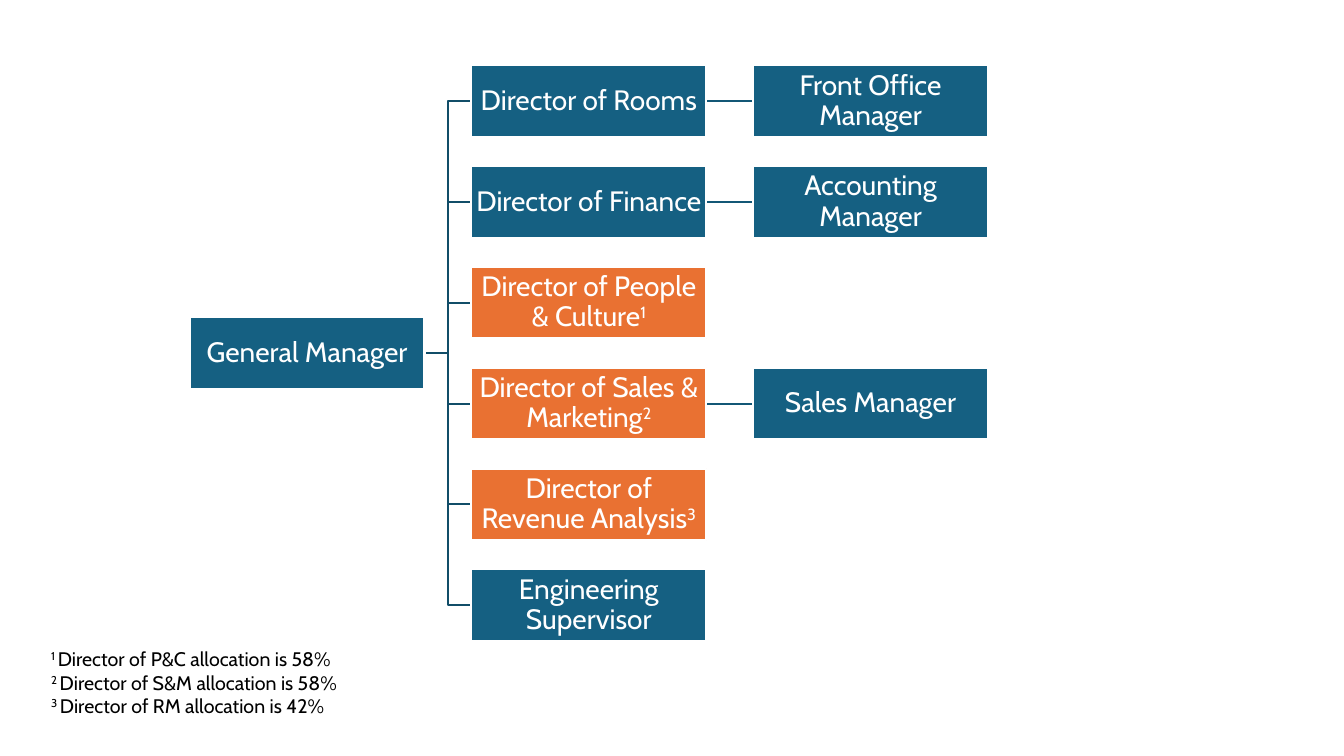
from lxml import etree
from pptx import Presentation
from pptx import util as u
from pptx.dml.color import RGBColor
from pptx.enum import shapes, text
from pptx.oxml import ns

HUES = {"blue": "156082", "orange": "E97132", "trunk": "114D68",
        "branch": "135776", "white": "FFFFFF", "black": "000000"}
FONT = "Cabin"

# Each director: name, note mark, colour, direct report
STAFF = [
    ("Director of Rooms", "", "blue", "Front Office Manager"),
    ("Director of Finance", "", "blue", "Accounting Manager"),
    ("Director of People & Culture", "1", "orange", ""),
    ("Director of Sales & Marketing", "2", "orange", "Sales Manager"),
    ("Director of Revenue Analysis", "3", "orange", ""),
    ("Engineering Supervisor", "", "blue", ""),
]
NOTES = [
    ("1 ", "Director of P&C allocation is 58%"),
    ("2 ", "Director of S&M allocation is 58%"),
    ("3 ", "Director of RM allocation is 42%"),
]

BOX_W, BOX_H = 5.92, 1.8
STEP_X, STEP_Y = 7.1, 2.54


def hue(name):
    return RGBColor.from_string(HUES[name])


def apply(target, style):
    for key, value in style.items():
        setattr(target, key, value)


def add_run(para, words, size, color, raised=False):
    run = para.add_run()
    run.text = words
    apply(run.font, {"name": FONT, "size": u.Pt(size)})
    run.font.color.rgb = hue(color)
    if raised:
        run._r.get_or_add_rPr().set("baseline", "30000")


def add_box(slide, left, top, name, mark="", fill="blue"):
    box = slide.shapes.add_shape(shapes.MSO_SHAPE.RECTANGLE, u.Cm(left),
                                 u.Cm(top), u.Cm(BOX_W), u.Cm(BOX_H))
    box.shadow.inherit = False
    box.fill.solid()
    box.fill.fore_color.rgb = hue(fill)
    box.line.color.rgb = hue("white")
    box.line.width = u.Pt(1.5)
    frame = box.text_frame
    inset = u.Cm(0.03)
    apply(frame, {"word_wrap": True,
                  "vertical_anchor": text.MSO_ANCHOR.MIDDLE,
                  "margin_left": inset, "margin_right": inset,
                  "margin_top": inset, "margin_bottom": inset})
    para = frame.paragraphs[0]
    apply(para, {"alignment": text.PP_ALIGN.CENTER, "line_spacing": 0.9})
    add_run(para, name, 20, "white")
    if mark:
        add_run(para, mark, 20, "white", raised=True)
    return box


def add_link(slide, start, end, color):
    level = start.top == end.top
    kind = shapes.MSO_CONNECTOR.STRAIGHT if level else shapes.MSO_CONNECTOR.ELBOW
    link = slide.shapes.add_connector(kind, 0, 0, 0, 0)
    link.begin_connect(start, 3)
    link.end_connect(end, 1)
    link.line.color.rgb = hue(color)
    link.line.width = u.Pt(1.5)
    etree.SubElement(link.element.spPr, ns.qn("a:effectLst"))
    # Send the line behind the boxes
    link.element.getparent().insert(2, link.element)


def add_chart(slide, left, top):
    # Manager, centred on the column of directors
    middle = top + STEP_Y * (len(STAFF) - 1) / 2
    boss = add_box(slide, left, middle, "General Manager")
    # Directors and their reports
    for row, (name, mark, fill, report) in enumerate(STAFF):
        y = top + row * STEP_Y
        head = add_box(slide, left + STEP_X, y, name, mark, fill)
        add_link(slide, boss, head, "trunk")
        if report:
            aide = add_box(slide, left + 2 * STEP_X, y, report)
            add_link(slide, head, aide, "branch")


def add_notes(slide, left, top, width, height):
    area = slide.shapes.add_textbox(u.Cm(left), u.Cm(top),
                                    u.Cm(width), u.Cm(height))
    frame = area.text_frame
    apply(frame, {"word_wrap": False,
                  "auto_size": text.MSO_AUTO_SIZE.SHAPE_TO_FIT_TEXT})
    for row, (mark, words) in enumerate(NOTES):
        para = frame.add_paragraph() if row else frame.paragraphs[0]
        add_run(para, mark, 14, "black", raised=True)
        add_run(para, words, 14, "black")


def main():
    deck = Presentation()
    apply(deck, {"slide_width": u.Cm(33.87), "slide_height": u.Cm(19.05)})
    slide = deck.slides.add_slide(deck.slide_layouts[6])
    add_chart(slide, 4.78, 1.65)
    add_notes(slide, 1.04, 16.18, 7.9, 2.06)
    deck.save("out.pptx")


if __name__ == "__main__":
    main()
